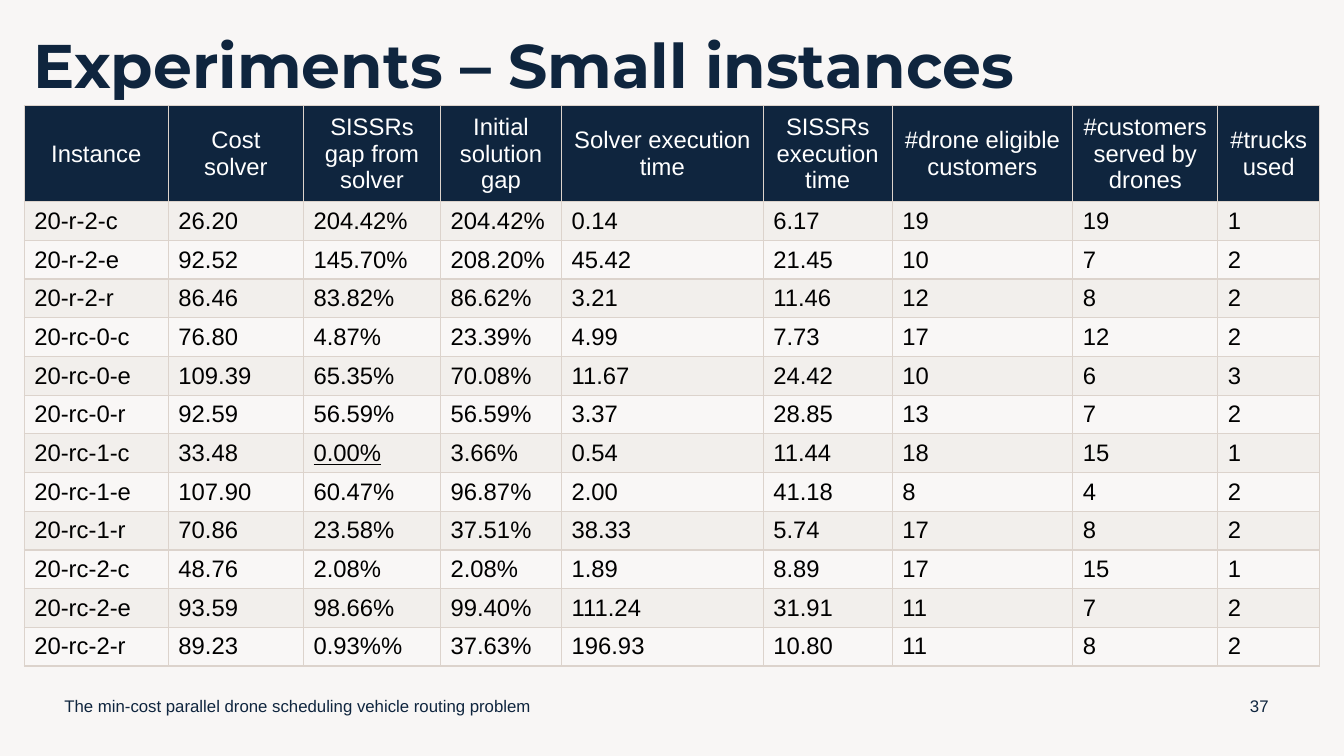
from lxml.etree import SubElement
from pptx import Presentation
from pptx.dml.color import RGBColor
from pptx.enum.text import MSO_ANCHOR, MSO_AUTO_SIZE, PP_ALIGN
from pptx.oxml.ns import qn
from pptx.util import Inches, Pt

COLORS = {"navy": "0F253E", "white": "FFFFFF", "black": "000000", "border": "DCD3CC",
          "band_dark": "F2EFEC", "band_light": "F9F7F6", "background": "F8F6F5"}

HEADERS = ["Instance", "Cost solver", "SISSRs gap from solver", "Initial solution gap",
           "Solver execution time", "SISSRs execution time", "#drone eligible customers",
           "#customers served by drones", "#trucks used"]
RESULTS = [
    ["20-r-2-c", "26.20", "204.42%", "204.42%", "0.14", "6.17", "19", "19", "1"],
    ["20-r-2-e", "92.52", "145.70%", "208.20%", "45.42", "21.45", "10", "7", "2"],
    ["20-r-2-r", "86.46", "83.82%", "86.62%", "3.21", "11.46", "12", "8", "2"],
    ["20-rc-0-c", "76.80", "4.87%", "23.39%", "4.99", "7.73", "17", "12", "2"],
    ["20-rc-0-e", "109.39", "65.35%", "70.08%", "11.67", "24.42", "10", "6", "3"],
    ["20-rc-0-r", "92.59", "56.59%", "56.59%", "3.37", "28.85", "13", "7", "2"],
    ["20-rc-1-c", "33.48", "0.00%", "3.66%", "0.54", "11.44", "18", "15", "1"],
    ["20-rc-1-e", "107.90", "60.47%", "96.87%", "2.00", "41.18", "8", "4", "2"],
    ["20-rc-1-r", "70.86", "23.58%", "37.51%", "38.33", "5.74", "17", "8", "2"],
    ["20-rc-2-c", "48.76", "2.08%", "2.08%", "1.89", "8.89", "17", "15", "1"],
    ["20-rc-2-e", "93.59", "98.66%", "99.40%", "111.24", "31.91", "11", "7", "2"],
    ["20-rc-2-r", "89.23", "0.93%%", "37.63%", "196.93", "10.80", "11", "8", "2"],
]
COL_WIDTHS = [1.43, 1.34, 1.36, 1.2, 2, 1.28, 1.79, 1.44, 1.01]
HEADER_HEIGHT = 0.95


def rgb(name):
    return RGBColor.from_string(COLORS[name])


class SlideBuilder:
    """Holds the text style and the current slide."""

    def __init__(self, prs, font="Arial", title_font="Montserrat"):
        self.font, self.title_font = font, title_font
        self.s = prs.slides.add_slide(prs.slide_layouts[5])
        self.s.background.fill.solid()
        self.s.background.fill.fore_color.rgb = rgb("background")

    def set_text(self, tf, text, size, color, align=PP_ALIGN.LEFT, font=None, bold=False):
        tf.word_wrap = True
        p = tf.paragraphs[0]
        p.text = text
        p.alignment = align
        p.font.name = font or self.font
        p.font.size = Pt(size)
        p.font.bold = bold
        p.font.color.rgb = rgb(color)
        return p

    def title(self, text, left, top, width, height):
        sp = self.s.shapes.title
        sp.left, sp.top, sp.width, sp.height = map(Inches, (left, top, width, height))
        tf = sp.text_frame
        tf.auto_size = MSO_AUTO_SIZE.NONE
        tf.vertical_anchor = MSO_ANCHOR.MIDDLE
        p = self.set_text(tf, text, 44, "navy", font=self.title_font, bold=True)
        p.line_spacing = 0.9

    def footer(self, text, left, width, align=PP_ALIGN.LEFT):
        sp = self.s.shapes.add_textbox(Inches(left), Inches(6.8), Inches(width), Inches(0.4))
        sp.text_frame.vertical_anchor = MSO_ANCHOR.MIDDLE
        self.set_text(sp.text_frame, text, 12, "navy", align)

    def cell(self, cell, text, fill, color, align):
        cell.fill.solid()
        cell.fill.fore_color.rgb = rgb(fill)
        cell.vertical_anchor = MSO_ANCHOR.MIDDLE
        # Borders come before the fill in the cell properties
        tc_pr = cell._tc.get_or_add_tcPr()
        for i, side in enumerate(("lnL", "lnR", "lnT", "lnB")):
            ln = SubElement(tc_pr, qn(f"a:{side}"), w=str(Pt(1)))
            SubElement(SubElement(ln, qn("a:solidFill")), qn("a:srgbClr"), val=COLORS["border"])
            tc_pr.insert(i, ln)
        return self.set_text(cell.text_frame, text, 17, color, align)

    def table(self, headers, rows, left, top, height):
        table = self.s.shapes.add_table(len(rows) + 1, len(headers), Inches(left), Inches(top),
                                        Inches(sum(COL_WIDTHS)), Inches(height)).table
        table.first_row = table.horz_banding = False
        for column, width in zip(table.columns, COL_WIDTHS):
            column.width = Inches(width)
        for i, row in enumerate(table.rows):
            row.height = Inches((height - HEADER_HEIGHT) / len(rows) if i else HEADER_HEIGHT)
        for j, header in enumerate(headers):
            self.cell(table.cell(0, j), header, "navy", "white", PP_ALIGN.CENTER)
        for i, values in enumerate(rows, 1):
            band = "band_dark" if i % 2 else "band_light"
            for j, value in enumerate(values):
                p = self.cell(table.cell(i, j), value, band, "black", PP_ALIGN.LEFT)
                if value == "0.00%":  # the solver's cost is matched
                    p.runs[0].font.underline = True


def main():
    prs = Presentation()
    prs.slide_width, prs.slide_height = Inches(13.33), Inches(7.5)
    slide = SlideBuilder(prs)

    # Footer
    slide.footer("The min-cost parallel drone scheduling vehicle routing problem", 0.54, 5.03)
    slide.footer("37", 12.24, 0.5, PP_ALIGN.CENTER)

    # Results and title
    slide.table(HEADERS, RESULTS, 0.24, 1.05, 5.55)
    slide.title("Experiments – Small instances", 0.23, 0.21, 12.88, 0.95)

    prs.save("out.pptx")


if __name__ == "__main__":
    main()
